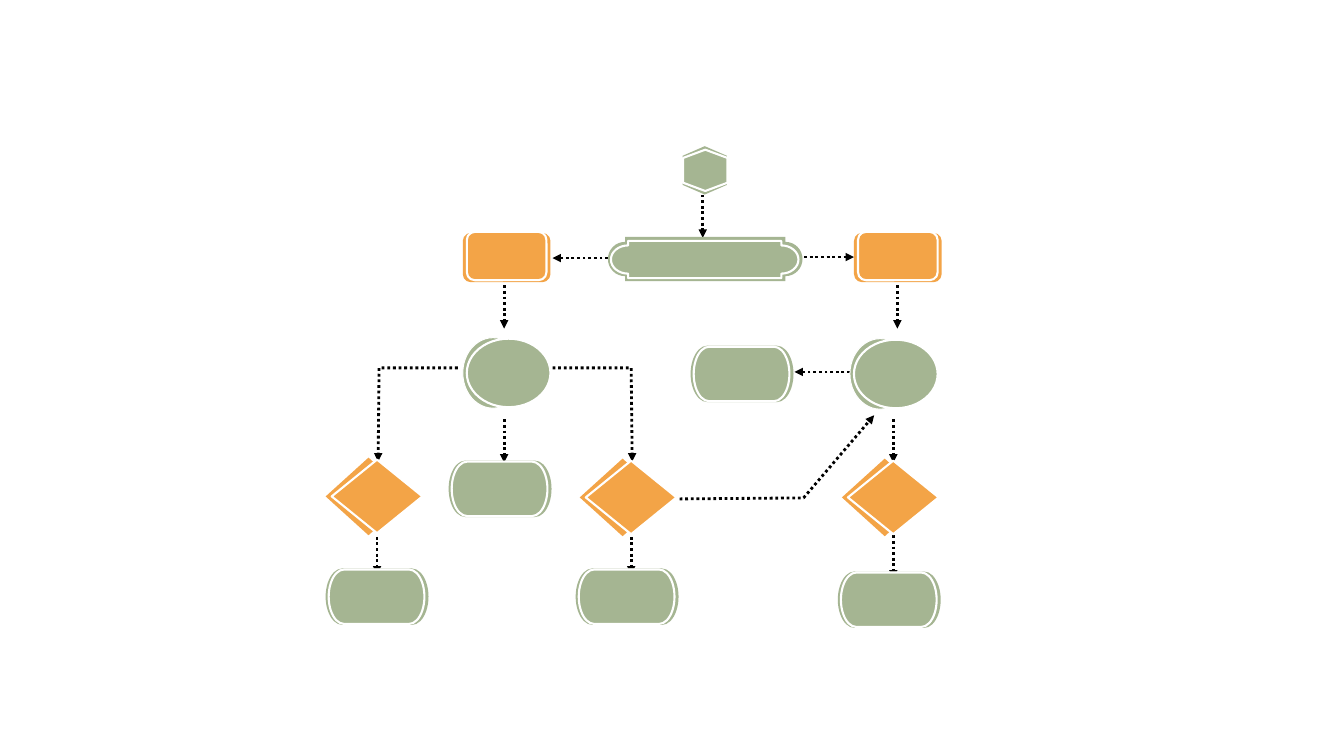
from math import cos, pi, sin

from lxml import etree
from pptx import Presentation
from pptx.dml.color import RGBColor
from pptx.enum.dml import MSO_LINE
from pptx.enum.shapes import MSO_CONNECTOR, MSO_SHAPE
from pptx.oxml.ns import qn
from pptx.util import Inches, Pt

CIRCLE = MSO_SHAPE.FLOWCHART_CONNECTOR
HEXAGON = MSO_SHAPE.FLOWCHART_PREPARATION
PROCESS = MSO_SHAPE.FLOWCHART_ALTERNATE_PROCESS
DECISION = MSO_SHAPE.FLOWCHART_DECISION
TERMINATOR = MSO_SHAPE.FLOWCHART_TERMINATOR
STRAIGHT = MSO_CONNECTOR.STRAIGHT
DOTTED = MSO_LINE.ROUND_DOT

GREEN, ORANGE, WHITE, BLACK = "A5B592", "F3A447", "FFFFFF", "000000"
BLANK_LAYOUT = 6

# Per node kind: fill, back size, front offset from back, front size
NODE_STYLES = {
    HEXAGON: (GREEN, (0.48, 0.44), (0.04, 0), (0.41, 0.44)),
    PROCESS: (ORANGE, (0.87, 0.49), (0.04, -0.01), (0.79, 0.48)),
    CIRCLE: (GREEN, (0.6, 0.7), (0.04, 0.01), (0.83, 0.68)),
    DECISION: (ORANGE, (0.85, 0.77), (0.06, 0.02), (0.9, 0.73)),
    TERMINATOR: (GREEN, (1.02, 0.56), (0.03, 0.01), (0.95, 0.54)),
}


def color(hex_text):
    return RGBColor.from_string(hex_text)


class Flowchart:
    def __init__(self, slide):
        self.slide = slide

    def paint(self, shape, fill, outline=0):
        shape.shadow.inherit = False
        shape.fill.solid()
        shape.fill.fore_color.rgb = color(fill)
        if outline:
            shape.line.color.rgb = color(WHITE)
            shape.line.width = Pt(outline)
        else:
            shape.line.fill.background()

    def outline(self, shapes, points, close):
        corners = [(Inches(x), Inches(y)) for x, y in points]
        builder = shapes.build_freeform(*corners[0])
        builder.add_line_segments(corners[1:], close=close)
        return builder.convert_to_shape()

    def node(self, kind, left, top, rotation=0):
        fill, back_size, (shift_x, shift_y), front_size = NODE_STYLES[kind]
        back_outline = 0.75 if kind == CIRCLE else 0
        group = self.slide.shapes.add_group_shape()
        for x, y, size, outline in (
            (left, top, back_size, back_outline),
            (left + shift_x, top + shift_y, front_size, 1.5),
        ):
            shape = group.shapes.add_shape(
                kind, Inches(x), Inches(y), *map(Inches, size))
            shape.rotation = rotation
            self.paint(shape, fill, outline)

    def plaque(self, shapes, left, top, right, bottom, arc_height, outline=0):
        """Bar with a half-round bulge on each end."""
        middle = (top + bottom) / 2
        steps = [pi * (step / 16 - 0.5) for step in range(17)]
        points = [(left, top), (right, top)]
        points += [(right + 0.17 * cos(a), middle + arc_height * sin(a))
                   for a in steps]
        points += [(right, bottom), (left, bottom)]
        points += [(left - 0.17 * cos(a), middle - arc_height * sin(a))
                   for a in steps]
        self.paint(self.outline(shapes, points, True), GREEN, outline)

    def arrow(self, *points):
        if len(points) == 2:
            ends = [Inches(value) for point in points for value in point]
            arrow = self.slide.shapes.add_connector(STRAIGHT, *ends)
            etree.SubElement(arrow.line._get_or_add_ln(), qn("a:tailEnd"))
        else:
            arrow = self.outline(self.slide.shapes, points, False)
            arrow.fill.background()
            arrow.shadow.inherit = False
            etree.SubElement(arrow.line._get_or_add_ln(), qn("a:tailEnd"))
        line = arrow.line
        line.color.rgb = color(BLACK)
        line.width = Pt(2)
        line.dash_style = DOTTED
        line._get_or_add_ln().find(qn("a:tailEnd")).set("type", "triangle")
        if len(points) == 2:
            etree.SubElement(arrow._element.spPr, qn("a:effectLst"))


deck = Presentation()
deck.slide_width, deck.slide_height = Inches(13.33), Inches(7.5)
page = deck.slides.add_slide(deck.slide_layouts[BLANK_LAYOUT])
chart = Flowchart(page)

# Downward arrows
for x, y in ((6.97, 1.93), (5, 2.83), (8.9, 2.83), (5, 4.16), (8.86, 4.16),
             (3.74, 5.27), (6.26, 5.27), (8.86, 5.31)):
    chart.arrow((x, y), (x, y + 0.43))

# Sideways arrows
for start, end, y in ((7.92, 8.47, 2.55), (6.03, 5.48, 2.56),
                      (8.43, 7.88, 3.69)):
    chart.arrow((start, y), (end, y))

# Bent arrows
chart.arrow((4.54, 3.65), (3.76, 3.65), (3.75, 4.58))
chart.arrow((5.48, 3.65), (6.26, 3.65), (6.27, 4.58))
chart.arrow((6.74, 4.95), (7.97, 4.94), (8.67, 4.12))

# Start and central bar
chart.node(HEXAGON, 6.75, 1.47, rotation=90)
bar = page.shapes.add_group_shape()
chart.plaque(bar.shapes, 6.2, 2.35, 7.79, 2.79, 0.17)
chart.plaque(bar.shapes, 6.23, 2.39, 7.75, 2.76, 0.14, outline=1.5)

# Remaining nodes
NODES = {
    PROCESS: ((4.59, 2.31), (8.47, 2.31)),
    CIRCLE: ((4.59, 3.35), (8.43, 3.36)),
    DECISION: ((3.23, 4.54), (5.75, 4.55), (8.35, 4.55)),
    TERMINATOR: ((6.85, 3.43), (4.45, 4.57), (3.23, 5.64), (5.71, 5.64),
                 (8.31, 5.67)),
}
for kind, places in NODES.items():
    for left, top in places:
        chart.node(kind, left, top)

deck.save("out.pptx")
